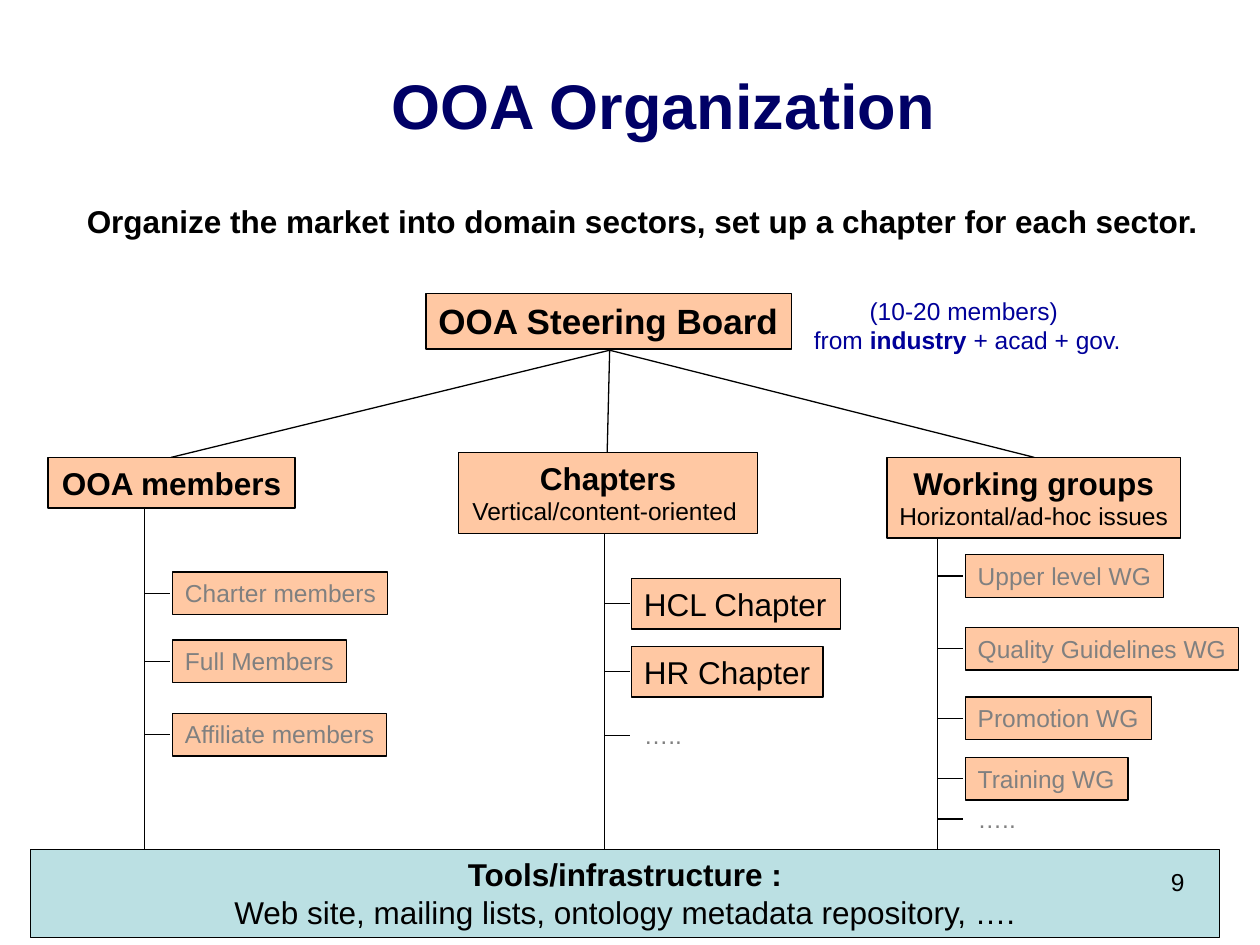
from lxml import etree
from pptx import Presentation
from pptx.dml.color import RGBColor
from pptx.enum.shapes import MSO_CONNECTOR, MSO_SHAPE
from pptx.enum.text import MSO_ANCHOR, MSO_AUTO_SIZE, PP_ALIGN
from pptx.oxml.ns import qn
from pptx.util import Cm, Pt

LEFT, CENTER, RIGHT = PP_ALIGN.LEFT, PP_ALIGN.CENTER, PP_ALIGN.RIGHT
TOP, MIDDLE = MSO_ANCHOR.TOP, MSO_ANCHOR.MIDDLE
GROW, FIXED = MSO_AUTO_SIZE.SHAPE_TO_FIT_TEXT, MSO_AUTO_SIZE.NONE
RECT, STRAIGHT = MSO_SHAPE.RECTANGLE, MSO_CONNECTOR.STRAIGHT

COLORS = {"title": "000066", "note": "000099", "text": "000000",
          "muted": "808080", "box": "FFC8A3", "tools": "BBE0E3"}

HEAD = {"size": 18, "bold": True}
BODY = {"size": 18}
SMALL = {"size": 14}
MUTED = {"size": 14, "color": "muted"}
NOTE = {"size": 14, "color": "note"}

TRUNK_END = 17.25
BRANCH = 0.51
INSET, TIGHT_INSET = 0.25, 0.05

# Heading paragraphs, heading box, trunk x, item x, items (text, top, width, height, format)
COLUMNS = [
    ([[("OOA members", HEAD)]], (0.97, 9.22, 4.98, 1.02), 2.92, 3.48, [
        ("Charter members", 11.53, 4.34, 0.86, MUTED),
        ("Full Members", 12.9, 3.51, 0.86, MUTED),
        ("Affiliate members", 14.38, 4.32, 0.86, MUTED)]),
    ([[("Chapters", HEAD)], [("Vertical/content-oriented ", SMALL)]],
     (9.25, 9.12, 6.02, 1.63), 12.19, 12.73, [
        ("HCL Chapter", 11.66, 4.22, 1.02, BODY),
        ("HR Chapter", 13.03, 3.86, 1.02, BODY),
        ("…..", 14.4, 1.27, 0.86, MUTED)]),
    ([[("Working groups", HEAD)], [("Horizontal/ad-hoc issues", SMALL)]],
     (17.88, 9.22, 5.92, 1.63), 18.9, 19.46, [
        ("Upper level WG", 11.18, 3.99, 0.86, MUTED),
        ("Quality Guidelines WG", 12.65, 5.51, 0.86, MUTED),
        ("Promotion WG", 14.05, 3.76, 0.86, MUTED),
        ("Training WG", 15.27, 3.28, 0.86, MUTED),
        ("…..", 16.08, 1.27, 0.86, MUTED)]),
]


def rgb(name):
    return RGBColor.from_string(COLORS[name])


def write(tf, paragraphs, align=LEFT, **frame):
    """Fill a text frame with paragraphs, each a list of (text, format) runs."""
    for name, value in frame.items():
        setattr(tf, name, value)
    for i, runs in enumerate(paragraphs):
        p = tf.add_paragraph() if i else tf.paragraphs[0]
        p.alignment = align
        for text, fmt in runs:
            r = p.add_run()
            r.text = text
            values = {"name": "Arial", "size": Pt(fmt["size"]), "bold": fmt.get("bold", False)}
            for name, value in values.items():
                setattr(r.font, name, value)
            r.font.color.rgb = rgb(fmt.get("color", "text"))


def add_text(s, at, paragraphs, align=LEFT, wrap=False, size=GROW):
    tb = s.shapes.add_textbox(*map(Cm, at))
    write(tb.text_frame, paragraphs, align, word_wrap=wrap, auto_size=size)


def add_box(s, at, paragraphs, align=LEFT, fill="box"):
    """Draw a filled box whose tight insets leave each label room on one line."""
    sp = s.shapes.add_shape(RECT, *map(Cm, at))
    sp.shadow.inherit = False
    sp.fill.solid()
    sp.fill.fore_color.rgb = rgb(fill)
    sp.line.color.rgb = rgb("text")
    sp.line.width = Pt(0.75)
    write(sp.text_frame, paragraphs, align, word_wrap=True, auto_size=FIXED,
          vertical_anchor=TOP, margin_right=Cm(TIGHT_INSET),
          margin_left=Cm(INSET if align == LEFT else TIGHT_INSET))


def add_line(s, x1, y1, x2, y2):
    line = s.shapes.add_connector(STRAIGHT, *map(Cm, (x1, y1, x2, y2)))
    line.line.color.rgb = rgb("text")
    line.line.width = Pt(0.75)
    etree.SubElement(line._element.spPr, qn("a:effectLst"))


def add_title(s, at, text):
    title = s.shapes.title
    title.left, title.top, title.width, title.height = map(Cm, at)
    write(title.text_frame, [[(text, {"size": 36, "bold": True, "color": "title"})]],
          CENTER, vertical_anchor=MIDDLE, word_wrap=True, auto_size=FIXED)


def add_column(s, heading, at, trunk_x, item_x, items):
    """Draw a heading with its trunk and the items branching from it."""
    add_line(s, trunk_x, at[1] + at[3], trunk_x, TRUNK_END)
    add_box(s, at, heading, CENTER)
    for text, top, width, height, fmt in items:
        middle = top + height / 2
        add_line(s, trunk_x, middle, trunk_x + BRANCH, middle)
        add_item = add_text if text == "….." else add_box
        add_item(s, (item_x, top, width, height), [[(text, fmt)]])


def main():
    prs = Presentation()
    prs.slide_width, prs.slide_height = Cm(25.4), Cm(19.05)
    s = prs.slides.add_slide(prs.slide_layouts[5])

    add_title(s, (3.45, 1.27, 19.84, 1.65), "OOA Organization")
    add_text(s, (1.5, 3.94, 22.94, 1.02), [[(
        "Organize the market into domain sectors, set up a chapter for each sector.", HEAD)]])

    for x, y in ((3.45, 9.22), (12.24, 9.12), (20.85, 9.22)):
        add_line(s, 12.29, 7.06, x, y)
    add_box(s, (8.59, 5.92, 7.37, 1.12),
            [[("OOA Steering Board", {"size": 20, "bold": True})]])
    add_text(s, (16, 5.84, 6.86, 1.45), [
        [("(10-20 members)", NOTE)],
        [(" from ", NOTE), ("industry", {**NOTE, "bold": True}), (" + acad + gov.", NOTE)],
    ], CENTER)

    for column in COLUMNS:
        add_column(s, *column)

    add_box(s, (0.61, 17.12, 23.98, 1.78), [
        [("Tools/infrastructure :", HEAD)],
        [("Web site, mailing lists, ontology metadata repository, ….", BODY)],
    ], CENTER, "tools")
    add_text(s, (18.21, 17.35, 5.92, 1.32), [[("9", SMALL)]], RIGHT, wrap=True, size=FIXED)

    prs.save("out.pptx")


if __name__ == "__main__":
    main()
